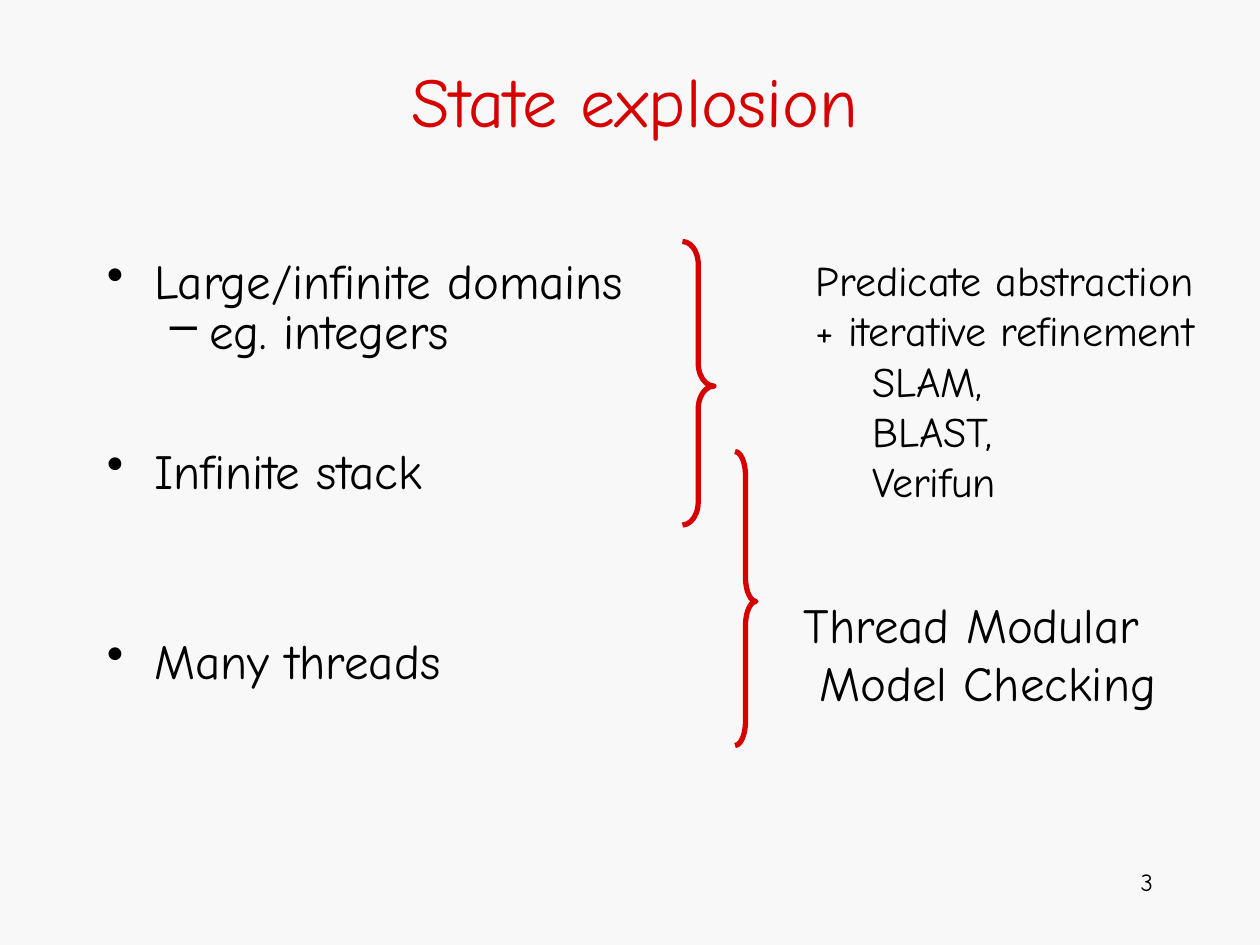
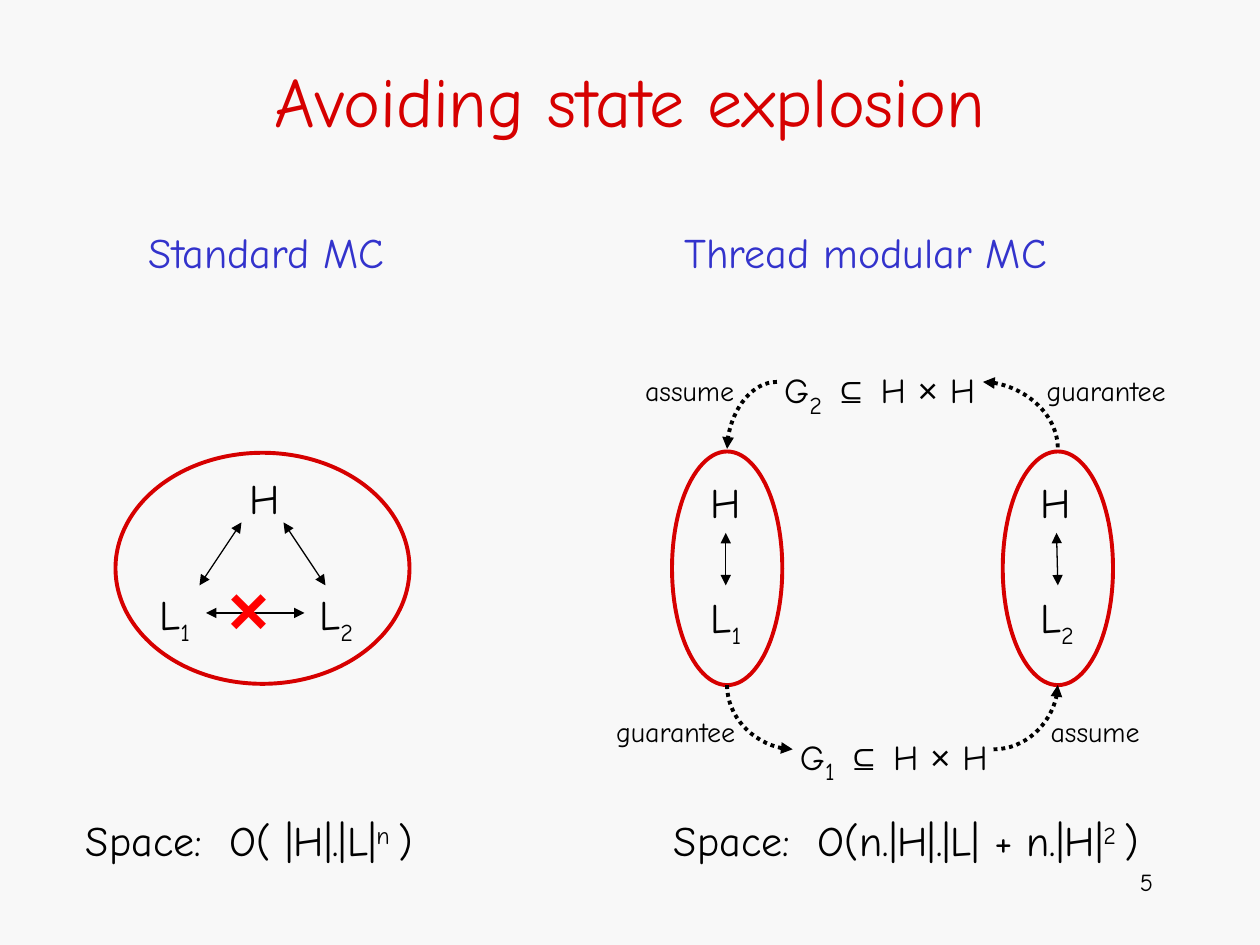
import lxml.etree
import pptx
import pptx.dml.color
import pptx.enum.dml
import pptx.enum.shapes
import pptx.enum.text
import pptx.oxml.ns
import pptx.util

PX = 9525
RED, BLACK, BLUE = "D60000", "000000", "3333CC"
Pt = pptx.util.Pt
qn = pptx.oxml.ns.qn
ALIGN = pptx.enum.text.PP_ALIGN
SHAPES = pptx.enum.shapes.MSO_SHAPE
CONNECTORS = pptx.enum.shapes.MSO_CONNECTOR


def paint(color_format, color):
    color_format.rgb = pptx.dml.color.RGBColor.from_string(color)


def write(slide, box, lines, size, color=BLACK, wrap=False, align=ALIGN.LEFT):
    frame = slide.shapes.add_textbox(*[n * PX for n in box]).text_frame
    frame.word_wrap = wrap
    if not wrap:
        frame.auto_size = pptx.enum.text.MSO_AUTO_SIZE.SHAPE_TO_FIT_TEXT
    for number, runs in enumerate(lines):
        paragraph = frame.paragraphs[0] if number == 0 else frame.add_paragraph()
        paragraph.alignment = align
        for words, extra in runs:
            run = paragraph.add_run()
            run.text = words
            font_format = {"name": "Comic Neue", "size": Pt(size), **extra}
            baseline = font_format.pop("baseline", None)
            for key, value in font_format.items():
                setattr(run.font, key, value)
            paint(run.font.color, color)
            if baseline:
                run._r.get_or_add_rPr().set("baseline", str(baseline))
    return frame


deck = pptx.Presentation()
deck.slide_width, deck.slide_height = 960 * PX, 720 * PX
backdrop = deck.slide_master.background.fill
backdrop.solid()
paint(backdrop.fore_color, "F8F8F8")

pages = []
for title, left, width, page_number in [
    ("State explosion", 40, 888, "3"),
    ("Avoiding state explosion", 72, 816, "5"),
]:
    page = deck.slides.add_slide(deck.slide_layouts[6])
    heading = write(page, (left, 16, width, 120), [[(title, {})]], 40, RED, True, ALIGN.CENTER)
    heading.vertical_anchor = pptx.enum.text.MSO_ANCHOR.MIDDLE
    write(page, (688, 656, 200, 48), [[(page_number, {})]], 14, BLACK, True, ALIGN.RIGHT)
    pages.append(page)
problem, solution = pages

causes = [
    ("Large/infinite domains", "•", 36, -36, {"line_spacing": Pt(47.5)}),
    ("eg. integers", "–", 78, -30, {"line_spacing": Pt(28.5), "level": 1}),
    ("Infinite stack", "•", 36, -36, {"line_spacing": Pt(28.5), "space_before": Pt(51.5)}),
    ("Many threads", "•", 36, -36, {"line_spacing": Pt(28.5), "space_before": Pt(80)}),
]
cause_list = write(problem, (72, 168, 496, 392), [[(cause[0], {})] for cause in causes], 28, wrap=True)
for paragraph, (_, bullet, margin, indent, spacing) in zip(cause_list.paragraphs, causes):
    for key, value in spacing.items():
        setattr(paragraph, key, value)
    properties = paragraph._p.get_or_add_pPr()
    properties.set("marL", str(margin * PX))
    properties.set("indent", str(indent * PX))
    lxml.etree.SubElement(properties, qn("a:buChar"), char=bullet)

for box, lines, size, margins in [
    ((612, 189, 314, 202),
     ["Predicate abstraction", "+ iterative refinement", "SLAM,", "BLAST,", "Verifun"],
     24, [0, 0, 43, 43, 43]),
    ((603, 448, 292, 100), ["Thread Modular", "Model Checking"], 28, [0, 12]),
]:
    remedy = write(problem, box, [[(line, {})] for line in lines], size)
    for paragraph, margin in zip(remedy.paragraphs, margins):
        paragraph._p.get_or_add_pPr().set("marL", str(margin * PX))

for box, curl, tip in [((520, 184, 24, 216), 0.73, 0.51), ((560, 344, 16, 224), 1.17, 0.51)]:
    brace = problem.shapes.add_shape(SHAPES.RIGHT_BRACE, *[n * PX for n in box])
    brace.adjustments[0], brace.adjustments[1] = curl, tip
    brace.shadow.inherit = False
    brace.fill.background()
    brace.line.width = Pt(3)
    paint(brace.line.color, RED)

for left, width, words in [(104, 376, "Standard MC"), (512, 376, "Thread modular MC")]:
    write(solution, (left, 168, width, 88), [[(words, {})]], 24, BLUE, True)

for left, width, cost, power in [
    (56, 376, "Space:  O( |H|.|L|", "n "),
    (504, 472 - 20, "Space:  O(n.|H|.|L| + n.|H|", "2 "),
]:
    write(solution, (left, 616, width, 88), [[(cost, {}), (power, {"baseline": 30000}), (")", {})]], 24, wrap=True)

for left, top in [(181, 355), (783, 358), (532, 358)]:
    write(solution, (left, top, 46, 48), [[("H", {})]], 24)
for left, top, thread in [(112, 444, "1"), (234, 444, "2"), (532, 446, "1"), (783, 446, "2")]:
    write(solution, (left, top, 50, 54), [[("L", {}), (thread, {"baseline": -25000})]], 24)

symbol = {"name": "Arial"}
for left, top, thread in [(600, 550, "1"), (588, 271, "2")]:
    relation = [
        ("G", {}), (thread, {"size": Pt(24), "baseline": -25000}), (" ", {}),
        ("⊆", symbol), (" H ", {}), ("×", symbol), (" H", {}),
    ]
    write(solution, (left, top, 172, 54), [relation], 20)

for left, top, width, role in [
    (460, 540, 114, "guarantee"), (791, 540, 94, "assume"),
    (788, 280, 114, "guarantee"), (482, 280, 94, "assume"),
]:
    write(solution, (left, top, width, 36), [[(role, {})]], 16)

for box in [(88, 345, 224, 176), (764, 344, 84, 178), (512, 344, 84, 178)]:
    state = solution.shapes.add_shape(SHAPES.OVAL, *[n * PX for n in box])
    state.shadow.inherit = False
    state.fill.background()
    state.line.width = Pt(2.25)
    paint(state.line.color, RED)

both, head, tail = ["a:headEnd", "a:tailEnd"], ["a:headEnd"], ["a:tailEnd"]
for ends, curved, arrowheads in [
    ((152, 446, 184, 398), False, both),
    ((232, 467, 157, 467), False, both),
    ((248, 446, 216, 398), False, both),
    ((805, 406, 806, 446), False, both),
    ((553, 406, 553, 446), False, both),
    ((604, 571, 554, 522), True, head),
    ((757, 571, 806, 522), True, tail),
    ((749, 291, 806, 342), True, head),
    ((592, 291, 554, 342), True, tail),
]:
    kind = CONNECTORS.CURVE if curved else CONNECTORS.STRAIGHT
    flow = solution.shapes.add_connector(kind, *[n * PX for n in ends])
    flow.line.width = Pt(2.25 if curved else 0.75)
    paint(flow.line.color, BLACK)
    outline = flow._element.spPr
    if curved:
        flow.line.dash_style = pptx.enum.dml.MSO_LINE.ROUND_DOT
        outline.find(qn("a:prstGeom")).set("prst", "curvedConnector2")
    for arrowhead in arrowheads:
        lxml.etree.SubElement(outline.find(qn("a:ln")), qn(arrowhead), type="triangle")
    lxml.etree.SubElement(outline, qn("a:effectLst"))

write(solution, (165, 426, 63, 74), [[("×", {"name": "Arial", "bold": True})]], 40, "FF0000")

deck.save("out.pptx")
